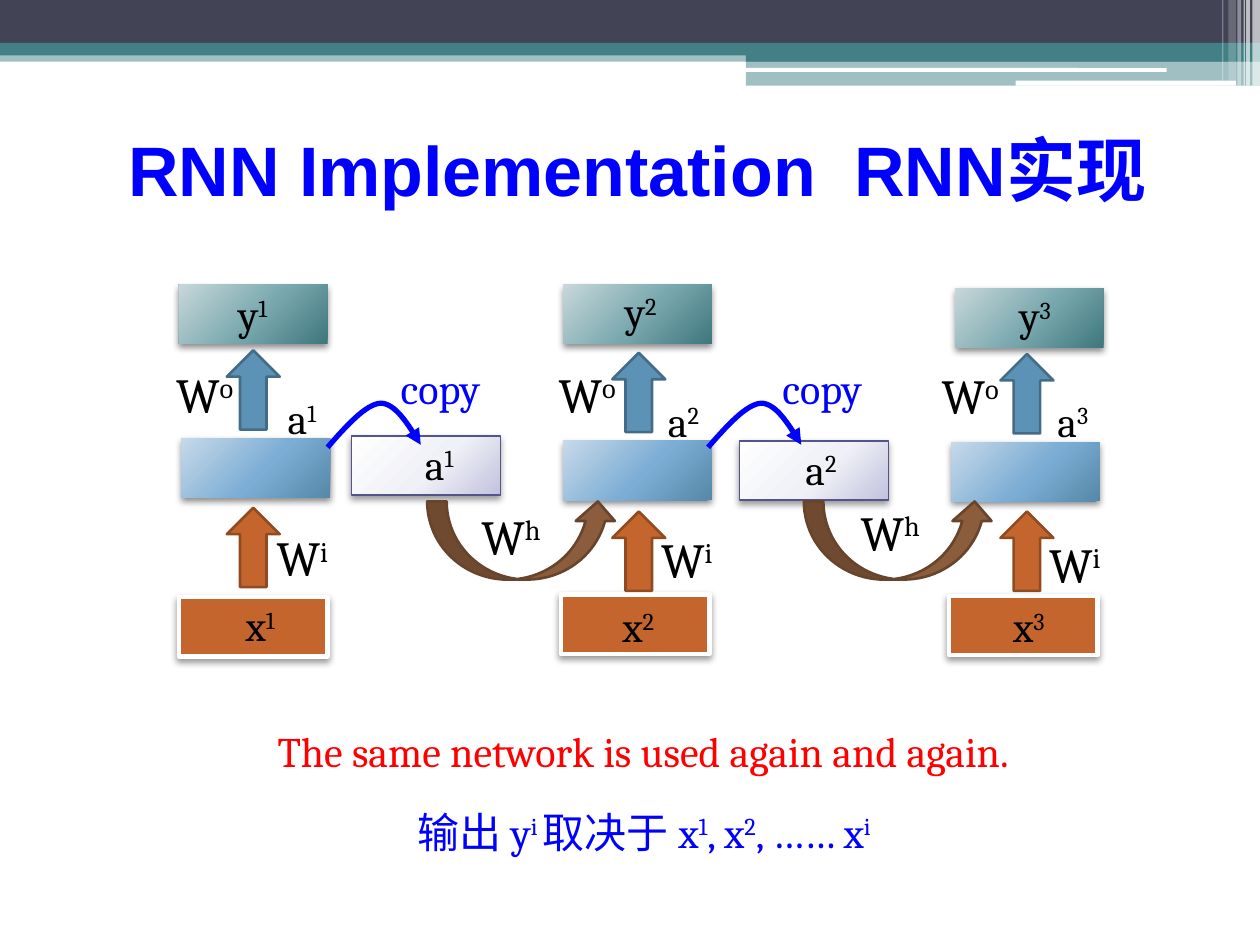
from pptx import Presentation
from pptx.dml.color import RGBColor
from pptx.enum import shapes as s, text as t
from pptx.oxml import parse_xml
from pptx.oxml.ns import nsdecls, qn
from pptx.util import Inches, Pt

RECT, ROUND = s.MSO_SHAPE.RECTANGLE, s.MSO_SHAPE.ROUNDED_RECTANGLE
UP, CURVED = s.MSO_SHAPE.UP_ARROW, s.MSO_SHAPE.CURVED_UP_ARROW
BLACK, WHITE = RGBColor(0, 0, 0), RGBColor(255, 255, 255)
BLUE, RED = RGBColor(0, 0, 255), RGBColor(255, 0, 0)
TEAL, NAVY = RGBColor(0x43, 0x80, 0x86), RGBColor(0x42, 0x44, 0x56)
ORANGE, RUST = RGBColor(0xC4, 0x65, 0x2D), RGBColor(0x91, 0x4B, 0x21)
STEEL, DEEP_STEEL = RGBColor(0x5C, 0x92, 0xB5), RGBColor(0x44, 0x6C, 0x86)
BROWN, DARK_BROWN = RGBColor(0x8B, 0x5D, 0x3D), RGBColor(0x67, 0x45, 0x2D)
INDIGO = RGBColor(0x53, 0x54, 0x8A)

# Gradient colours at 0, 55 and 100 percent
HIDDEN_GRADIENT = ["C7D9EA", "7CADD4", "5688A9"]
OUTPUT_GRADIENT = ["C7D7DA", "77A7AD", "3E777D"]
COPY_GRADIENT = ["FEFEFE", "F0F1F7", "C2C2DD"]

# Header bands: shape, left, top, width, height, colour, opacity
BANDS = [
    (RECT, 0, 0.4, 10, 0.09, TEAL, 50),
    (RECT, 0, 0, 10, 0.34, NAVY, 100),
    (RECT, 0, 0.34, 10, 0.1, TEAL, 100),
    (RECT, 5.92, 0.39, 4.08, 0.1, TEAL, 100),
    (RECT, 5.92, 0.48, 4.08, 0.2, TEAL, 50),
    (ROUND, 5.91, 0.54, 3.35, 0.03, WHITE, 100),
    (ROUND, 8.06, 0.64, 1.75, 0.04, WHITE, 100),
]
# Header stripes: left, width, height, opacity
STRIPES = [(9.94, 0.06, 0.68, 65), (9.89, 0.03, 0.68, 65), (9.87, 0.01, 0.68, 60),
           (9.82, 0.03, 0.68, 40), (9.75, 0.06, 0.64, 20), (9.7, 0.01, 0.64, 30)]

# One entry per time step: (left, top) of boxes and arrows
STEPS = [
    {"input": (1.42, 4.74), "hidden": (1.44, 3.48), "output": (1.42, 2.26),
     "arrow_in": (1.8, 4.03), "arrow_out": (1.8, 2.78)},
    {"input": (4.45, 4.72), "hidden": (4.47, 3.5), "output": (4.47, 2.26),
     "arrow_in": (4.86, 4.06), "arrow_out": (4.86, 2.8)},
    {"input": (7.53, 4.73), "hidden": (7.55, 3.51), "output": (7.58, 2.29),
     "arrow_in": (7.94, 4.06), "arrow_out": (7.94, 2.81)},
]
# Links between steps: copied state box, curved arrow, start of the copy curve
LINKS = [{"box": (2.79, 3.46), "curved": (3.39, 3.98), "curve": (2.6, 3.55)},
         {"box": (5.87, 3.5), "curved": (6.38, 3.98), "curve": (5.62, 3.55)}]
# Two Bezier pieces of the copy curve, relative to its start
COPY_CURVE = [((0, 0), (0.15, -0.17), (0.3, -0.34), (0.42, -0.35)),
              ((0.42, -0.35), (0.54, -0.35), (0.64, -0.18), (0.74, -0.02))]

# Labels: text (superscripts between ^ marks), left, top, width, size, colour
LABELS = [
    ("copy", 2.92, 2.83, 1.15, 24, BLUE),
    ("copy", 5.95, 2.83, 1.15, 24, BLUE),
    ("x^1^", 1.57, 4.71, 0.99, 24, BLACK),
    ("x^2^", 4.57, 4.72, 0.99, 24, BLACK),
    ("x^3^", 7.67, 4.72, 0.99, 24, BLACK),
    ("y^1^", 1.51, 2.24, 0.99, 24, BLACK),
    ("y^2^", 4.59, 2.22, 0.99, 24, BLACK),
    ("y^3^", 7.72, 2.25, 0.99, 24, BLACK),
    ("W^i^", 2.05, 4.14, 0.7, 28, BLACK),
    ("W^i^", 5.1, 4.15, 0.7, 28, BLACK),
    ("W^i^", 8.18, 4.19, 0.7, 28, BLACK),
    ("W^o^", 1.28, 2.84, 0.69, 28, BLACK),
    ("W^o^", 4.31, 2.84, 0.7, 28, BLACK),
    ("W^o^", 7.35, 2.85, 0.7, 28, BLACK),
    ("W^h^", 3.58, 3.97, 0.95, 28, BLACK),
    ("W^h^", 6.58, 3.94, 0.97, 28, BLACK),
    ("a^1^", 1.9, 3.07, 0.99, 24, BLACK),
    ("a^2^", 5.11, 3.09, 0.63, 24, BLACK),
    ("a^3^", 8.2, 3.09, 0.63, 24, BLACK),
    ("a^1^", 2.99, 3.43, 0.99, 24, BLACK),
    ("a^2^", 6.02, 3.47, 0.99, 24, BLACK),
    ("The same network is used again and again.", 1.74, 5.71, 6.73, 24, RED),
    ("输出 y^i ^取决于 x^1^, x^2^, …… x^i^", 2.12, 6.35, 5.98, 24, BLUE),
]

presentation = Presentation()
presentation.slide_width, presentation.slide_height = Inches(10), Inches(7.5)
slide = presentation.slides.add_slide(presentation.slide_layouts[6])


def add_shape(kind, left, top, width, height, fill, line=None, weight=1.5, opacity=100):
    """Add a preset shape; a list as fill means a gradient."""
    shape = slide.shapes.add_shape(kind, *map(Inches, (left, top, width, height)))
    shape.shadow.inherit = False
    if isinstance(fill, list):
        stops = "".join(f'<a:gs pos="{position}000"><a:srgbClr val="{colour}"/></a:gs>'
                        for position, colour in zip((0, 55, 100), fill))
        shape._element.spPr.insert(2, parse_xml(
            f'<a:gradFill {nsdecls("a")} rotWithShape="1"><a:gsLst>{stops}</a:gsLst>'
            '<a:path path="circle"><a:fillToRect l="-40000" t="-90000" r="140000" b="190000"/>'
            '</a:path></a:gradFill>'))
    else:
        shape.fill.solid()
        shape.fill.fore_color.rgb = fill
        if opacity < 100:
            colour = shape._element.spPr.find(qn("a:solidFill"))[0]
            colour.append(parse_xml(f'<a:alpha {nsdecls("a")} val="{opacity}000"/>'))
    if line is None:
        shape.line.fill.background()
    else:
        shape.line.color.rgb = line
        shape.line.width = Pt(weight)
    return shape


def add_box(position, fill, line=None, weight=1.5, opacity=40):
    """Add a network box with a soft shadow below it."""
    shape = add_shape(RECT, *position, 1.18, 0.47, fill, line, weight)
    shape._element.spPr.find(qn("a:effectLst")).append(parse_xml(
        f'<a:outerShdw {nsdecls("a")} blurRad="{Pt(4)}" dist="{Pt(2)}" dir="5400000" '
        f'rotWithShape="0"><a:srgbClr val="000000"><a:alpha val="{opacity}000"/>'
        '</a:srgbClr></a:outerShdw>'))


def add_text(words, left, top, width, height, size, colour, font="Cambria",
             bold=False, align=t.PP_ALIGN.CENTER, anchor=t.MSO_ANCHOR.TOP):
    frame = slide.shapes.add_textbox(*map(Inches, (left, top, width, height))).text_frame
    frame.word_wrap = True
    frame.vertical_anchor = anchor
    paragraph = frame.paragraphs[0]
    paragraph.alignment = align
    for index, part in enumerate(words.split("^")):
        if not part:
            continue
        run = paragraph.add_run()
        run.text = part
        for name, value in {"size": Pt(size), "name": font, "bold": bold}.items():
            setattr(run.font, name, value)
        run.font.color.rgb = colour
        if index % 2:
            run.font._element.set("baseline", "30000")


def add_copy_curve(left, top, steps=16):
    """Trace the Bezier pieces and end in an arrowhead."""
    points = []
    for piece in COPY_CURVE:
        for step in range(steps + 1):
            f = step / steps
            weights = ((1 - f) ** 3, 3 * f * (1 - f) ** 2, 3 * f * f * (1 - f), f ** 3)
            x, y = (sum(w * point[axis] for w, point in zip(weights, piece)) for axis in (0, 1))
            points.append((Inches(left + x), Inches(top + y)))
    builder = slide.shapes.build_freeform(*points[0])
    builder.add_line_segments(points[1:], close=False)
    curve = builder.convert_to_shape()
    curve.shadow.inherit = False
    curve.fill.background()
    curve.line.color.rgb = BLUE
    curve.line.width = Pt(3)
    curve._element.spPr.find(qn("a:ln")).append(
        parse_xml(f'<a:tailEnd {nsdecls("a")} type="triangle"/>'))


# Header
for kind, left, top, width, height, colour, opacity in BANDS:
    add_shape(kind, left, top, width, height, colour, opacity=opacity)
for left, width, height, opacity in STRIPES:
    add_shape(RECT, left, 0, width, height, WHITE, opacity=opacity)
add_text("RNN Implementation  RNN实现", 0.92, 0.75, 9, 1.17, 40, BLUE, "Arial", True,
         t.PP_ALIGN.LEFT, t.MSO_ANCHOR.MIDDLE)

# Network
for step in STEPS:
    add_box(step["input"], ORANGE, WHITE, 2.5)
    add_box(step["hidden"], HIDDEN_GRADIENT, opacity=45)
    add_box(step["output"], OUTPUT_GRADIENT, opacity=45)
    add_shape(UP, *step["arrow_in"], 0.42, 0.63, ORANGE, RUST)
    add_shape(UP, *step["arrow_out"], 0.42, 0.63, STEEL, DEEP_STEEL)
for link in LINKS:
    add_box(link["box"], COPY_GRADIENT, INDIGO, 0.75)
    add_shape(CURVED, *link["curved"], 1.51, 0.62, BROWN, DARK_BROWN)
    add_copy_curve(*link["curve"])

# Labels
for words, left, top, width, size, colour in LABELS:
    add_text(words, left, top, width, 0.57 if size == 28 else 0.5, size, colour)

presentation.save("out.pptx")
